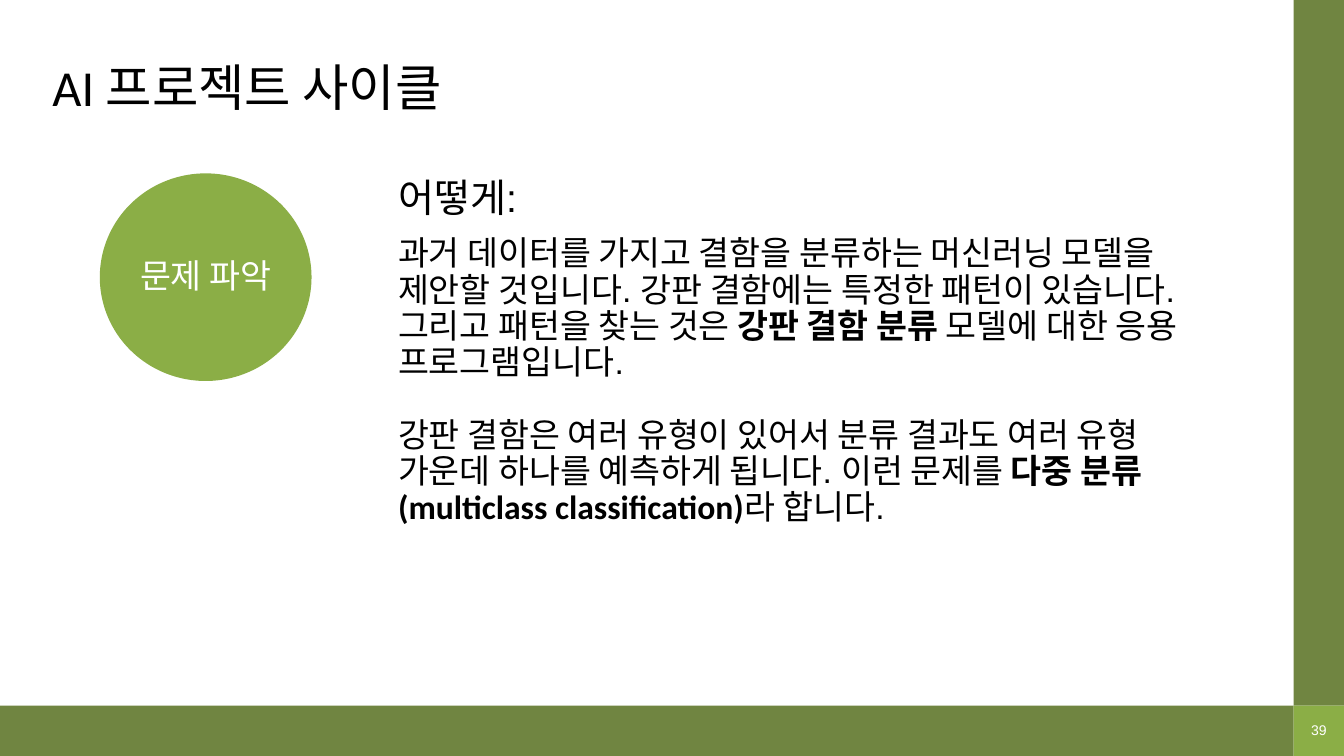
from pptx import Presentation
from pptx.dml.color import RGBColor
from pptx.enum.shapes import MSO_SHAPE
from pptx.enum.text import MSO_ANCHOR, MSO_AUTO_SIZE, PP_ALIGN
from pptx.util import Inches, Pt

RECT, OVAL = MSO_SHAPE.RECTANGLE, MSO_SHAPE.OVAL
TOP, MID = MSO_ANCHOR.TOP, MSO_ANCHOR.MIDDLE
LEFT, MIDST = PP_ALIGN.LEFT, PP_ALIGN.CENTER
FIXED = MSO_AUTO_SIZE.NONE

CELL = 0.5
COLS, ROWS = 26.66, 15
COLORS = {"olive": "708541", "leaf": "8BAE46", "ink": "000000", "paper": "FFFFFF"}
FONT, ALT = "Arial", "Calibri"


class Deck:
    def __init__(self):
        self.prs = Presentation()
        self.prs.slide_width = Inches(COLS * CELL)
        self.prs.slide_height = Inches(ROWS * CELL)
        self.slide = self.prs.slides.add_slide(self.prs.slide_layouts[5])

    def grid(self, *cells):
        return [Inches(cell * CELL) for cell in cells]

    def color(self, name):
        return RGBColor.from_string(COLORS[name])

    def fill_text(self, frame, paras, size, color="ink", align=LEFT, anchor=TOP, gap=0):
        frame.word_wrap = True
        frame.auto_size = FIXED
        frame.vertical_anchor = anchor
        for i, runs in enumerate(paras):
            para = frame.add_paragraph() if i else frame.paragraphs[0]
            para.alignment = align
            para.line_spacing = 0.9
            para.space_before = Pt(gap if i else 0)
            for text, bold, face in runs:
                run = para.add_run()
                run.text = text
                run.font.name = face
                run.font.size = Pt(size)
                run.font.bold = bold
                run.font.color.rgb = self.color(color)

    def title(self, text, *box):
        head = self.slide.shapes.title
        head.left, head.top, head.width, head.height = self.grid(*box)
        self.fill_text(head.text_frame, [[(text, False, ALT)]], 36, anchor=MID)

    def shape(self, kind, fill, *box, text="", size=10):
        form = self.slide.shapes.add_shape(kind, *self.grid(*box))
        form.shadow.inherit = False
        form.fill.solid()
        form.fill.fore_color.rgb = self.color(fill)
        form.line.fill.background()
        if text:
            frame = form.text_frame
            frame.margin_left = frame.margin_right = 0
            self.fill_text(frame, [[(text, False, FONT)]], size, "paper", MIDST, MID)

    def text(self, paras, size, *box, gap=0):
        area = self.slide.shapes.add_textbox(*self.grid(*box))
        self.fill_text(area.text_frame, paras, size, gap=gap)


def main():
    deck = Deck()
    edge, base = COLS - 1, ROWS - 1
    deck.title("AI 프로젝트 사이클", 0.84, 0.48, 16, 2.62)
    deck.shape(RECT, "olive", 0, base, edge, 1)
    deck.shape(RECT, "olive", edge, 0, 1, base)
    deck.shape(RECT, "leaf", edge, base, 1, 1, text="39")
    deck.shape(OVAL, "leaf", 1.98, 3.44, 4.2, 4.12, text="문제 파악", size=24)
    deck.text([[("어떻게:", False, FONT)]], 28, 7.7, 3.44, 15.84, 1.16)
    deck.text(
        [
            [
                ("과거 데이터를 가지고 결함을 분류하는 머신러닝 모델을 제안할 것입니다. "
                 "강판 결함에는 특정한 패턴이 있습니다. 그리고 패턴을 찾는 것은 ", False, FONT),
                ("강판 결함 분류 ", True, FONT),
                ("모델에 대한 응용 프로그램입니다.", False, FONT),
            ],
            [
                ("강판 결함은 여러 유형이 있어서 분류 결과도 여러 유형 가운데 하나를 "
                 "예측하게 됩니다. 이런 문제를 ", False, FONT),
                ("다중 분류", True, FONT),
                ("(multiclass classification)", True, ALT),
                ("라 합니다.", False, FONT),
            ],
        ],
        24, 7.7, 4.6, 17, 5.92, gap=26,
    )
    deck.prs.save("out.pptx")


if __name__ == "__main__":
    main()
